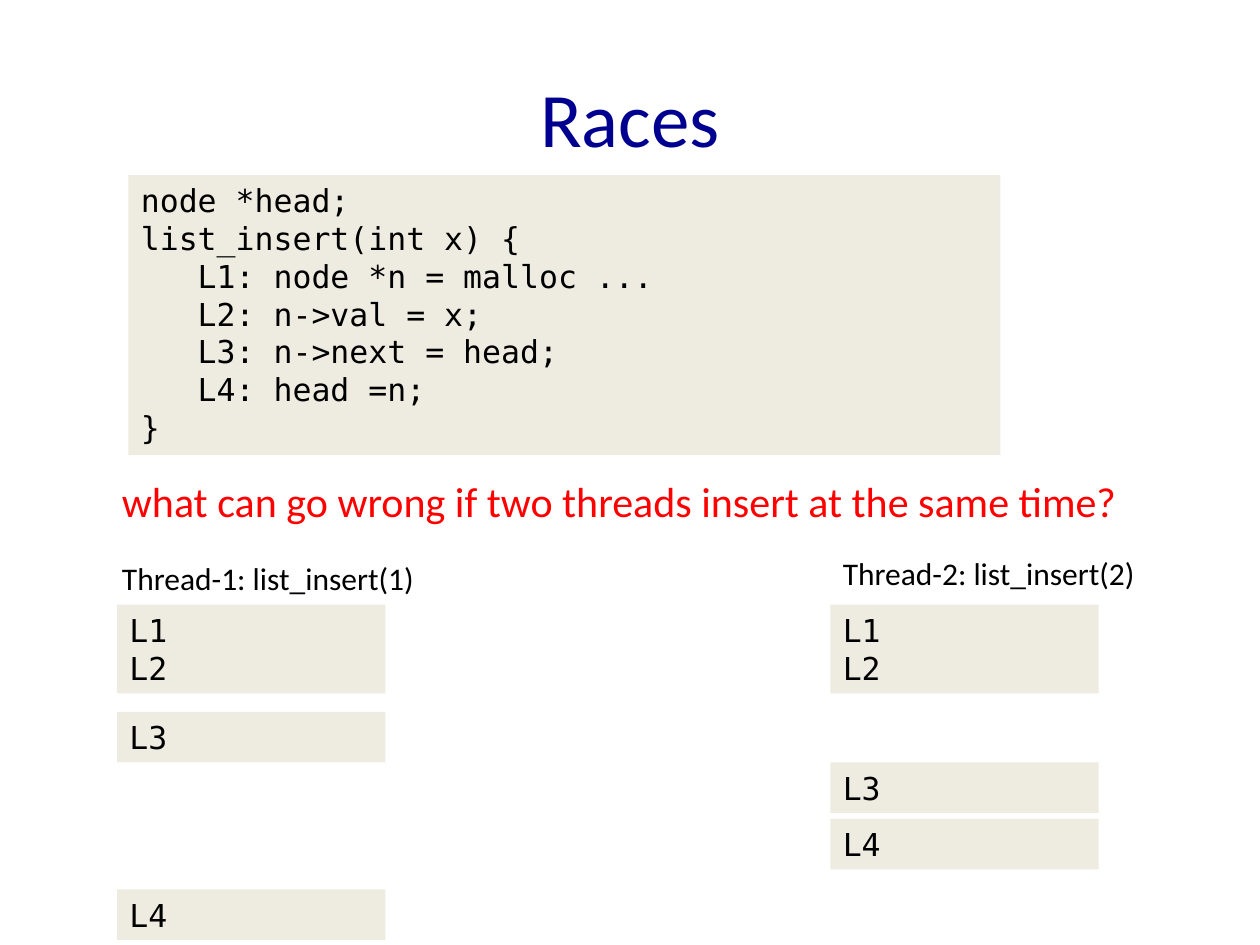
"""Build a slide on the race between two threads inserting into a list."""
from pptx import Presentation
from pptx.dml.color import RGBColor
from pptx.enum.shapes import MSO_SHAPE
from pptx.enum.text import MSO_ANCHOR, PP_ALIGN
from pptx.util import Cm, Pt

TITLE = "Races"
QUESTION = "what can go wrong if two threads insert at the same time?"
CODE = [
    "node *head;",
    "list_insert(int x) {",
    "   L1: node *n = malloc ...",
    "   L2: n->val = x;",
    "   L3: n->next = head;",
    "   L4: head =n;",
    "}",
]
THREADS = [
    {
        "label": ("Thread-1: list_insert(1)", 2.21, 11.15),
        "left": 2.36,
        "steps": [(12.19, ["L1", "L2"]), (14.35, ["L3"]), (17.93, ["L4"])],
    },
    {
        "label": ("Thread-2: list_insert(2)", 16.74, 11.05),
        "left": 16.74,
        "steps": [(12.19, ["L1", "L2"]), (15.37, ["L3"]), (16.51, ["L4"])],
    },
]

NAVY = RGBColor(0x00, 0x00, 0x90)
RED = RGBColor(0xFF, 0x00, 0x00)
BLACK = RGBColor(0x00, 0x00, 0x00)
TAN = RGBColor(0xEE, 0xEC, 0xE1)
TEXT_FONT, CODE_FONT = "Calibri", "DejaVu Sans Mono"
CODE_SIZE = 18
LINE_HEIGHT, PADDING = 0.77, 0.25
STEP_WIDTH = 5.41


def write(frame, lines, font, size, color, align=PP_ALIGN.LEFT):
    for index, line in enumerate(lines):
        para = frame.add_paragraph() if index else frame.paragraphs[0]
        para.text = line
        para.alignment = align
        para.font.name = font
        para.font.size = Pt(size)
        para.font.color.rgb = color


def add_code(page, left, top, width, lines):
    height = PADDING + LINE_HEIGHT * len(lines)
    box = page.shapes.add_shape(
        MSO_SHAPE.RECTANGLE, Cm(left), Cm(top), Cm(width), Cm(height))
    box.shadow.inherit = False
    box.fill.solid()
    box.fill.fore_color.rgb = TAN
    box.line.fill.background()
    box.text_frame.word_wrap = True
    box.text_frame.vertical_anchor = MSO_ANCHOR.TOP
    write(box.text_frame, lines, CODE_FONT, CODE_SIZE, BLACK)


def add_text(page, text, left, top, width, height, size, color):
    box = page.shapes.add_textbox(Cm(left), Cm(top), Cm(width), Cm(height))
    box.text_frame.word_wrap = False
    write(box.text_frame, [text], TEXT_FONT, size, color)


def main():
    deck = Presentation()
    deck.slide_width, deck.slide_height = Cm(25.4), Cm(19.05)
    page = deck.slides.add_slide(deck.slide_layouts[5])

    title = page.shapes.title
    title.left, title.top = Cm(1.27), Cm(0.76)
    title.width, title.height = Cm(22.86), Cm(3.18)
    title.text_frame.vertical_anchor = MSO_ANCHOR.MIDDLE
    write(title.text_frame, [TITLE], TEXT_FONT, 44, NAVY, PP_ALIGN.CENTER)

    add_code(page, 2.59, 3.53, 17.58, CODE)
    add_text(page, QUESTION, 2.21, 9.47, 20.83, 1.27, 24, RED)
    for thread in THREADS:
        text, left, top = thread["label"]
        add_text(page, text, left, top, 6.48, 1.02, 18, BLACK)
        for top, lines in thread["steps"]:
            add_code(page, thread["left"], top, STEP_WIDTH, lines)

    deck.save("out.pptx")


if __name__ == "__main__":
    main()
